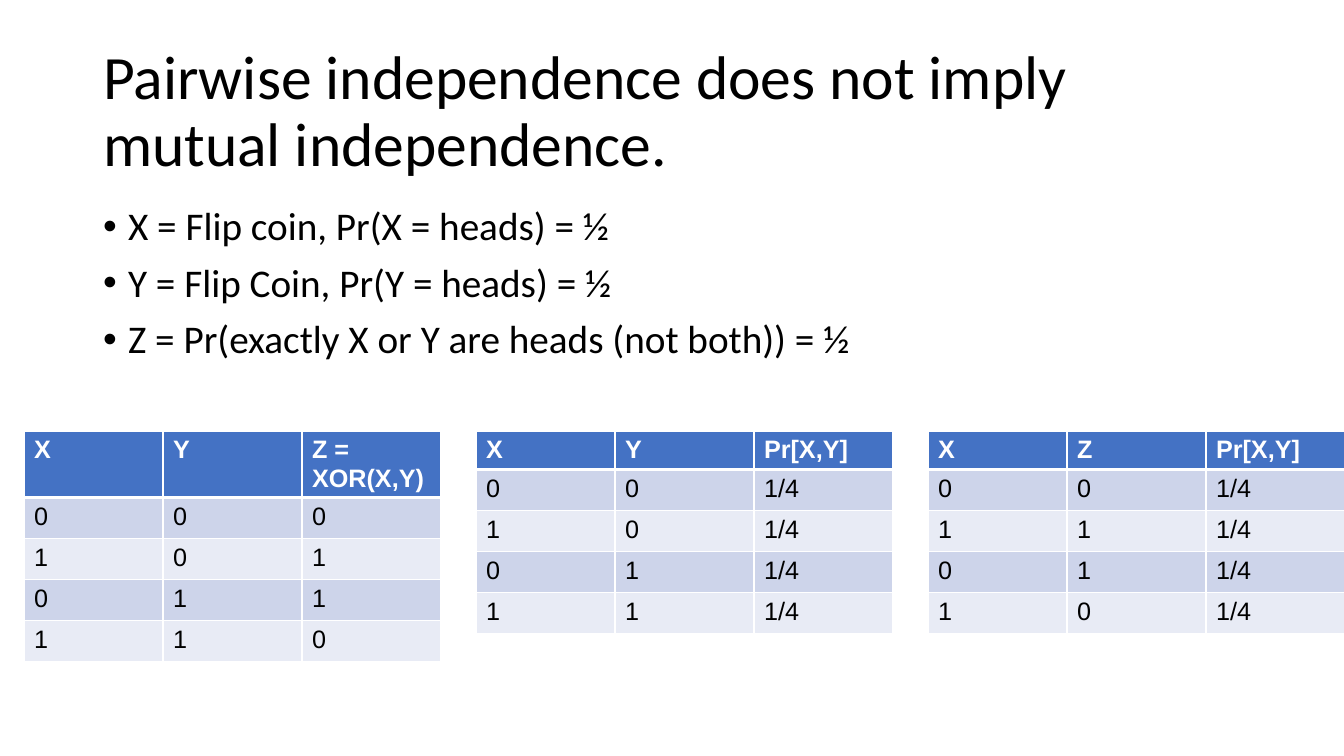
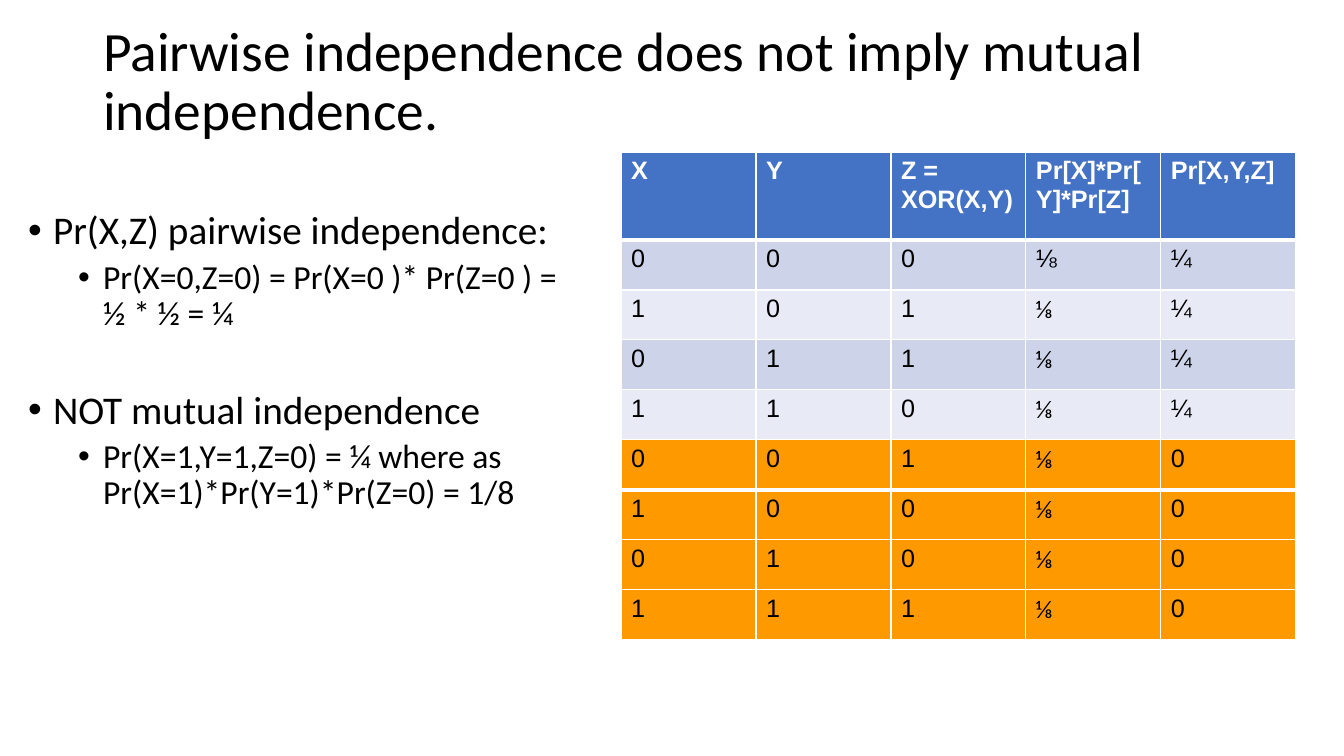
from lxml.etree import SubElement
from pptx import Presentation
from pptx.dml.color import RGBColor
from pptx.enum.text import MSO_ANCHOR, MSO_AUTO_SIZE, PP_ALIGN
from pptx.oxml.ns import qn
from pptx.util import Emu, Pt

PX = 12192000 / 1344
BLACK, WHITE = "000000", "FFFFFF"
BLUE, BAND_DARK, BAND_LIGHT, ORANGE = "4472C4", "CDD4EA", "E8EBF5", "FF9900"

HEADING = "Pairwise independence does not imply mutual independence."
XYZ = ["X", "Y", "Z = XOR(X,Y)"]
PAIRS = ["00", "10", "01", "11"]
XOR_ROWS = ["000", "101", "011", "110"]


def px(*lengths):
    return [Emu(round(length * PX)) for length in lengths]


def write(paragraph, text, size=18, font="Arial", color=BLACK, bold=False,
          spacing=None, before=0, bullet_indent=None):
    run = paragraph.add_run()
    run.text = text
    run.font.size, run.font.name, run.font.bold = Pt(size), font, bold
    run.font.color.rgb = RGBColor.from_string(color)
    paragraph.alignment = PP_ALIGN.LEFT
    paragraph.space_before = Pt(before)
    if spacing:
        paragraph.line_spacing = spacing
    if bullet_indent is not None:
        props = paragraph._p.get_or_add_pPr()
        props.set("marL", str(px(bullet_indent)[0]))
        props.set("indent", str(px(-25)[0]))
        SubElement(props, qn("a:buFont")).set("typeface", "Arial")
        SubElement(props, qn("a:buChar")).set("char", "•")


# Bullets: level, space before, text
coin_bullets = [
    (0, 0, "X = Flip coin, Pr(X = heads) = ½"),
    (0, 10, "Y = Flip Coin, Pr(Y = heads) = ½"),
    (0, 10, "Z = Pr(exactly X or Y are heads (not both)) = ½"),
]
proof_bullets = [
    (0, 0, "Pr(X,Z) pairwise independence:"),
    (1, 5, "Pr(X=0,Z=0) = Pr(X=0 )* Pr(Z=0 ) = ½ * ½ = ¼"),
    (0, 41, "NOT mutual independence"),
    (1, 5, "Pr(X=1,Y=1,Z=0) = ¼ where as Pr(X=1)*Pr(Y=1)*Pr(Z=0) = 1/8"),
]

# Probability tables: header row first
coin_tables = [
    [XYZ] + [list(bits) for bits in XOR_ROWS],
    [["X", "Y", "Pr[X,Y]"]] + [[*bits, "1/4"] for bits in PAIRS],
    [["X", "Z", "Pr[X,Y]"]] + [[*bits, "1/4"] for bits in ["00", "11", "01", "10"]],
]
joint_table = [XYZ + ["Pr[X]*Pr[Y]*Pr[Z]", "Pr[X,Y,Z]"]]
joint_table += [[*bits, "⅛", "¼"] for bits in XOR_ROWS]
joint_table += [[*bits, "⅛", "0"] for bits in ["001", "100", "010", "111"]]

# Per slide: title top and size, body box, bullets, table grid
slides = [
    dict(title_top=40, title_size=44, body=(93, 202, 1159, 480), bullets=coin_bullets,
         tables=coin_tables, origin=(24, 431), column=139, heights=(25, 41),
         thick_below={0}),
    dict(title_top=10, title_size=39.6, body=(18, 206, 574, 480), bullets=proof_bullets,
         tables=[joint_table], origin=(621, 152), column=135, heights=(88, 50),
         thick_below={0, 5}),
]
TABLE_PITCH = 452
FIRST_ORANGE_ROW = 5

prs = Presentation()
prs.slide_width, prs.slide_height = px(1344, 756)

for content in slides:
    slide = prs.slides.add_slide(prs.slide_layouts[1])

    # Title and bullet list
    title, body = slide.shapes.title, slide.placeholders[1]
    boxes = [(title, (93, content["title_top"], 1159, 146)), (body, content["body"])]
    for holder, box in boxes:
        holder.left, holder.top, holder.width, holder.height = px(*box)
        holder.text_frame.auto_size = MSO_AUTO_SIZE.NONE
        holder.text_frame.word_wrap = True
    title.text_frame.vertical_anchor = MSO_ANCHOR.MIDDLE
    write(title.text_frame.paragraphs[0], HEADING, size=content["title_size"],
          font="Calibri", spacing=0.9)
    for index, (level, before, text) in enumerate(content["bullets"]):
        frame = body.text_frame
        paragraph = frame.add_paragraph() if index else frame.paragraphs[0]
        paragraph.level = level
        write(paragraph, text, size=24 if level else 28, font="Calibri",
              spacing=0.9, before=before, bullet_indent=25 + 50 * level)

    # Tables, side by side
    left, top = content["origin"]
    header_height, row_height = content["heights"]
    thick_below = content["thick_below"]
    for number, rows in enumerate(content["tables"]):
        columns = len(rows[0])
        grid = slide.shapes.add_table(
            len(rows), columns,
            *px(left + number * TABLE_PITCH, top, columns * content["column"],
                header_height + row_height * (len(rows) - 1))).table
        for column in grid.columns:
            column.width = px(content["column"])[0]
        for r, values in enumerate(rows):
            grid.rows[r].height = px(row_height if r else header_height)[0]
            if r == 0:
                fill = BLUE
            elif r >= FIRST_ORANGE_ROW:
                fill = ORANGE
            else:
                fill = BAND_DARK if r % 2 else BAND_LIGHT
            edges = {"lnL": 1, "lnR": 1, "lnT": 3 if r - 1 in thick_below else 1,
                     "lnB": 3 if r in thick_below else 1}
            for c, value in enumerate(values):
                cell = grid.cell(r, c)
                for edge, width in edges.items():
                    line = SubElement(cell._tc.get_or_add_tcPr(), qn("a:" + edge))
                    line.set("w", str(Pt(width)))
                    paint = SubElement(line, qn("a:solidFill"))
                    SubElement(paint, qn("a:srgbClr")).set("val", WHITE)
                cell.fill.solid()
                cell.fill.fore_color.rgb = RGBColor.from_string(fill)
                write(cell.text_frame.paragraphs[0], value, bold=r == 0,
                      color=BLACK if r else WHITE,
                      font="Calibri" if value == "⅛" and r > 1 else "Arial")

prs.save("out.pptx")
